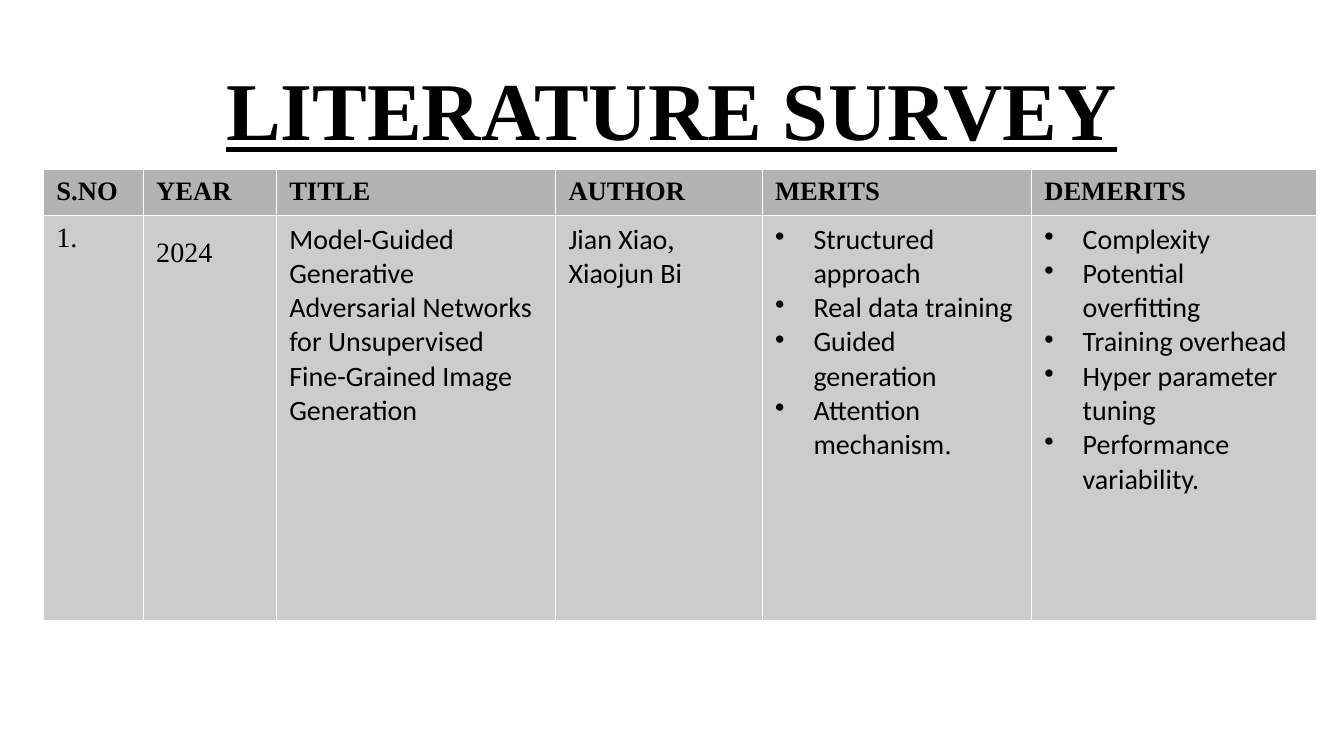
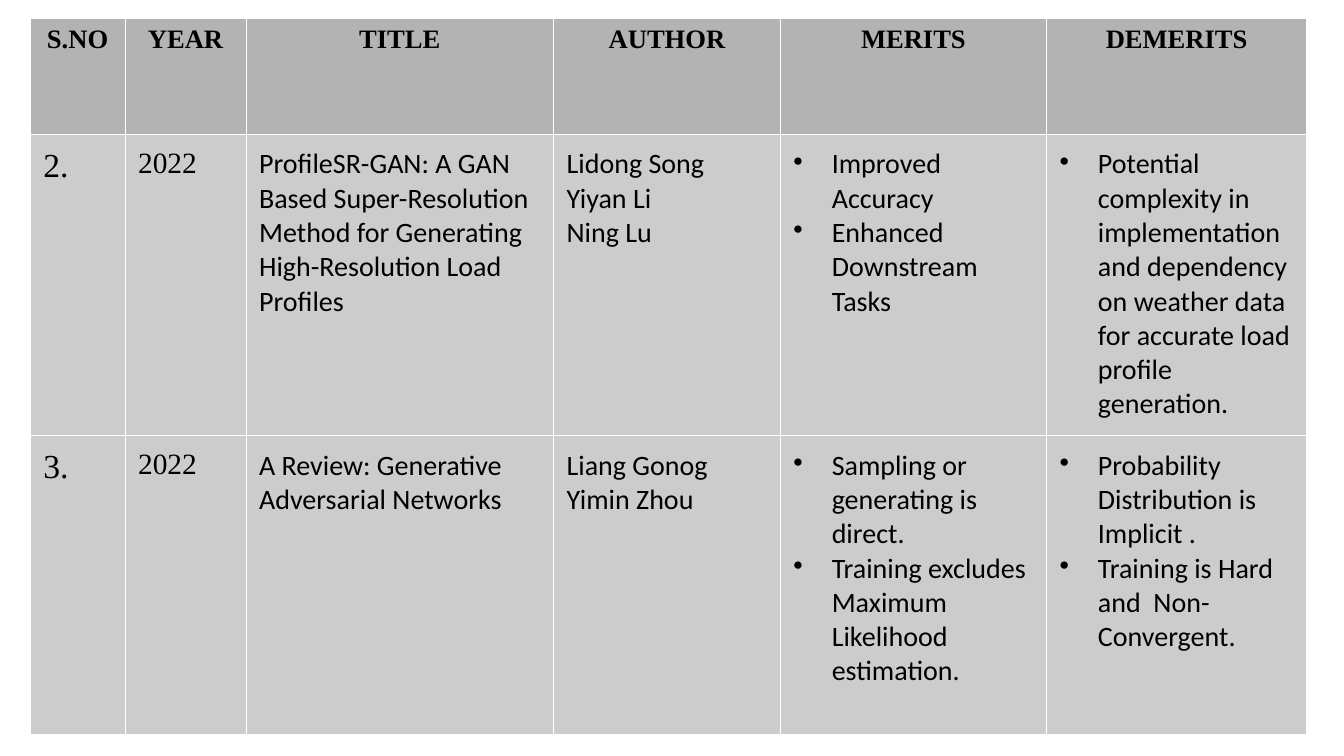
"""Build two literature survey slides, each holding a table of papers."""
from dataclasses import dataclass

from lxml.etree import SubElement
from pptx import Presentation
from pptx.dml.color import RGBColor
from pptx.enum.text import PP_ALIGN as Align
from pptx.oxml.ns import qn
from pptx.util import Inches, Pt


@dataclass(frozen=True)
class Theme:
    text: RGBColor = RGBColor(0x00, 0x00, 0x00)
    header_fill: RGBColor = RGBColor(0xB3, 0xB3, 0xB3)
    body_fill: RGBColor = RGBColor(0xCC, 0xCC, 0xCC)
    border: str = "FFFFFF"
    border_width: float = 0.75
    serif: str = "Times New Roman"
    sans: str = "Calibri"
    title_size: float = 58.6
    header_size: float = 19
    body_size: float = 20
    inset: float = 0.13
    header_inset: float = 0.07
    bullet_indent: float = 0.38


theme = Theme()


def style_cell(cell, fill, vertical_inset):
    """Give a cell its borders, fill and margins."""
    properties = cell._tc.get_or_add_tcPr()
    for side in ("lnL", "lnR", "lnT", "lnB"):
        line = SubElement(properties, qn(f"a:{side}"), w=str(Pt(theme.border_width)))
        SubElement(SubElement(line, qn("a:solidFill")), qn("a:srgbClr"), val=theme.border)
    cell.fill.solid()
    cell.fill.fore_color.rgb = fill
    cell.margin_left = cell.margin_right = Inches(theme.inset)
    cell.margin_top = cell.margin_bottom = Inches(vertical_inset)


def write_lines(frame, lines, font_name, size, bold=False, align=Align.LEFT, bulleted=False):
    """Write one paragraph per line; text after a bar is set in the serif font."""
    for index, line in enumerate(lines):
        paragraph = frame.paragraphs[0] if index == 0 else frame.add_paragraph()
        paragraph.alignment = align
        paragraph.font.name = font_name
        paragraph.font.size = Pt(size)
        paragraph.font.bold = bold
        paragraph.font.color.rgb = theme.text
        if bulleted:
            properties = paragraph._p.get_or_add_pPr()
            indent = Inches(theme.bullet_indent)
            properties.set("marL", str(indent))
            properties.set("indent", str(-indent))
            bullet = SubElement(properties, qn("a:buChar"), char="•")
            properties.insert(0, bullet)
        main_text, _, serif_text = line.partition("|")
        paragraph.add_run().text = main_text
        if serif_text:
            serif_run = paragraph.add_run()
            serif_run.text = serif_text
            serif_run.font.name = theme.serif


headers = ["S.NO", "YEAR", "TITLE", "AUTHOR", "MERITS", "DEMERITS"]
bulleted_columns = {"MERITS", "DEMERITS"}

surveys = [
    {
        "title": "LITERATURE SURVEY",
        "position": (0.43, 1.68),
        "columns": [0.99, 1.32, 2.77, 2.05, 2.67, 2.83],
        "rows": [0.43, 4.02],
        "header_align": Align.LEFT,
        "body_inset": 0.07,
        "serif_sizes": {"S.NO": 20, "YEAR": 20},
        "year_spacing": 1.5,
        "papers": [
            [
                ["1."],
                ["2024"],
                ["Model-Guided Generative Adversarial Networks for Unsupervised "
                 "Fine-Grained Image Generation"],
                ["Jian Xiao|,", "Xiaojun Bi"],
                ["Structured approach", "Real data training", "Guided generation",
                 "Attention mechanism|."],
                ["Complexity", "Potential overfitting", "Training overhead",
                 "Hyper parameter tuning", "Performance variability."],
            ],
        ],
    },
    {
        "title": None,
        "position": (0.3, 0.18),
        "columns": [0.94, 1.2, 3.05, 2.25, 2.64, 2.58],
        "rows": [1.15, 2.99, 2.97],
        "header_align": Align.CENTER,
        "body_inset": 0.13,
        "serif_sizes": {"S.NO": 24, "YEAR": 21},
        "year_spacing": 1.0,
        "papers": [
            [
                ["2."],
                ["2022"],
                ["ProfileSR-GAN: A GAN Based Super-Resolution Method for Generating "
                 "High-Resolution Load Profiles"],
                ["Lidong Song", "Yiyan Li", "Ning Lu"],
                ["Improved Accuracy", "Enhanced Downstream Tasks"],
                ["Potential complexity in implementation and dependency on weather data "
                 "for accurate load profile generation."],
            ],
            [
                ["3."],
                ["2022"],
                ["A Review: Generative Adversarial Networks"],
                ["Liang Gonog", "Yimin Zhou"],
                ["Sampling or generating is direct.",
                 "Training excludes Maximum Likelihood estimation."],
                ["Probability Distribution is Implicit .",
                 "Training is Hard and  Non-Convergent."],
            ],
        ],
    },
]

presentation = Presentation()
presentation.slide_width = Inches(13.33)
presentation.slide_height = Inches(7.5)
blank_layout = presentation.slide_layouts[6]

for survey in surveys:
    slide = presentation.slides.add_slide(blank_layout)

    if survey["title"]:
        title_box = slide.shapes.add_textbox(
            Inches(0.45), Inches(0.45), Inches(12.42), Inches(1.04))
        title_frame = title_box.text_frame
        title_frame.word_wrap = True
        title_frame.margin_left = title_frame.margin_right = Inches(theme.inset)
        title_frame.margin_top = title_frame.margin_bottom = Inches(theme.inset)
        write_lines(title_frame, [survey["title"]], theme.serif, theme.title_size,
                    bold=True, align=Align.CENTER)
        title_frame.paragraphs[0].font.underline = True

    left, top = survey["position"]
    table = slide.shapes.add_table(
        len(survey["rows"]), len(headers), Inches(left), Inches(top),
        Inches(sum(survey["columns"])), Inches(sum(survey["rows"]))).table
    for column, width in zip(table.columns, survey["columns"]):
        column.width = Inches(width)
    for row, height in zip(table.rows, survey["rows"]):
        row.height = Inches(height)

    for column_index, header in enumerate(headers):
        header_cell = table.cell(0, column_index)
        style_cell(header_cell, theme.header_fill, theme.header_inset)
        write_lines(header_cell.text_frame, [header], theme.serif, theme.header_size,
                    bold=True, align=survey["header_align"])

        serif_size = survey["serif_sizes"].get(header)
        for row_index, paper in enumerate(survey["papers"], start=1):
            cell = table.cell(row_index, column_index)
            style_cell(cell, theme.body_fill, survey["body_inset"])
            write_lines(cell.text_frame, paper[column_index],
                        theme.serif if serif_size else theme.sans,
                        serif_size or theme.body_size,
                        bulleted=header in bulleted_columns)
            if header == "YEAR":
                cell.text_frame.paragraphs[0].line_spacing = survey["year_spacing"]

presentation.save("out.pptx")
